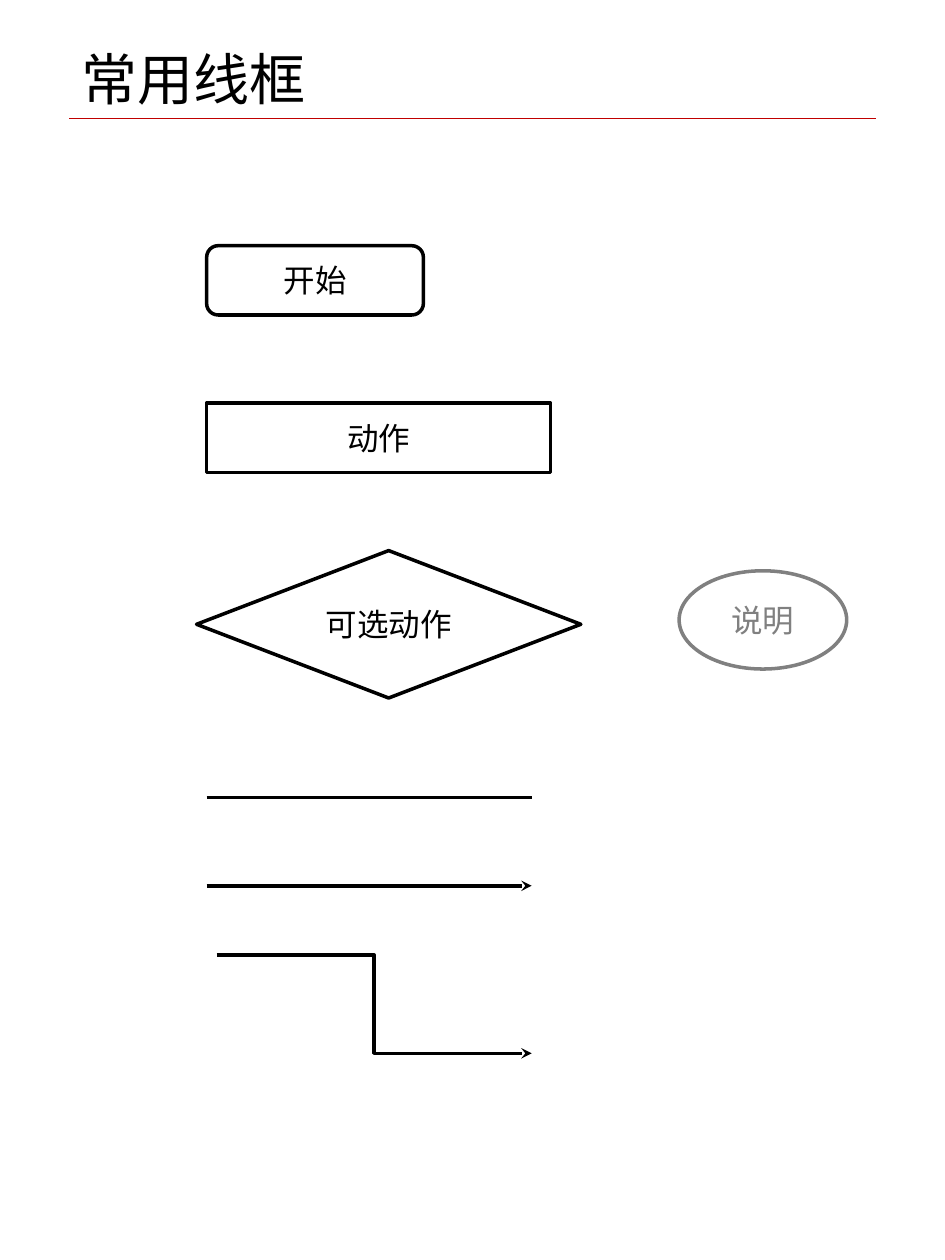
from lxml import etree
from pptx import Presentation
from pptx.dml.color import RGBColor
from pptx.enum.shapes import MSO_CONNECTOR, MSO_SHAPE
from pptx.enum.text import MSO_ANCHOR, MSO_AUTO_SIZE, PP_ALIGN
from pptx.oxml.ns import qn
from pptx.util import Inches, Pt

STRAIGHT, ELBOW = MSO_CONNECTOR.STRAIGHT, MSO_CONNECTOR.ELBOW
ROUNDED, RECTANGLE = MSO_SHAPE.ROUNDED_RECTANGLE, MSO_SHAPE.RECTANGLE
DIAMOND, OVAL = MSO_SHAPE.DIAMOND, MSO_SHAPE.OVAL
LEFT, CENTER = PP_ALIGN.LEFT, PP_ALIGN.CENTER
MIDDLE, BOTTOM = MSO_ANCHOR.MIDDLE, MSO_ANCHOR.BOTTOM
NO_FIT = MSO_AUTO_SIZE.NONE

COLORS = {"black": "000000", "gray": "808080", "red": "C00000"}
CJK_FONT = "Noto Sans CJK SC"
LEFT_EDGE, ARROW_END = 1.64, 4.22


def color(name):
    """Return the named palette colour."""
    return RGBColor.from_string(COLORS[name])


def write_text(shape, text, *, size=18, font="Arial", ink="black",
               align=CENTER, anchor=MIDDLE, insets=(0.01, 0)):
    """Write one formatted paragraph into a shape."""
    frame = shape.text_frame
    frame.word_wrap = True
    frame.auto_size = NO_FIT
    frame.vertical_anchor = anchor
    frame.margin_left = frame.margin_right = Inches(insets[0])
    frame.margin_top = frame.margin_bottom = Inches(insets[1])
    para = frame.paragraphs[0]
    para.alignment = align
    span = para.add_run()
    span.text = text
    span.font.size = Pt(size)
    span.font.name = font
    span.font.color.rgb = color(ink)
    east_asian = etree.SubElement(span.font._element, qn("a:ea"))
    east_asian.set("typeface", CJK_FONT)


def add_title(page, text):
    """Place and fill the title placeholder."""
    title = page.shapes.title
    title.left, title.top = Inches(0.55), Inches(0.08)
    title.width, title.height = Inches(6.38), Inches(0.86)
    write_text(title, text, size=32, font=CJK_FONT, align=LEFT,
               anchor=BOTTOM, insets=(0.1, 0.05))


def add_box(page, kind, bounds, text, *, font="Arial", ink="black"):
    """Add an outlined flowchart shape with a centred label."""
    box = page.shapes.add_shape(kind, *map(Inches, bounds))
    box.shadow.inherit = False
    box.fill.background()
    box.line.color.rgb = color(ink)
    box.line.width = Pt(2)
    write_text(box, text, font=font, ink=ink)


def add_line(page, start, end, *, kind=STRAIGHT, ink="black", width=2,
             arrow=False):
    """Add a connector, with a stealth arrowhead if asked for."""
    line = page.shapes.add_connector(kind, *map(Inches, start + end))
    line.line.color.rgb = color(ink)
    line.line.width = Pt(width)
    if arrow:
        head = etree.SubElement(line.line._get_or_add_ln(), qn("a:tailEnd"))
        head.set("type", "stealth")
    etree.SubElement(line._element.spPr, qn("a:effectLst"))


def main():
    """Build the page of common flowchart outlines."""
    deck = Presentation()
    deck.slide_width, deck.slide_height = Inches(7.5), Inches(10)
    page = deck.slides.add_slide(deck.slide_layouts[5])

    add_line(page, (0.55, 0.94), (6.95, 0.94), ink="red", width=1)
    add_title(page, "常用线框")

    add_box(page, ROUNDED, (LEFT_EDGE, 1.95, 1.72, 0.55), "开始")
    add_box(page, RECTANGLE, (LEFT_EDGE, 3.2, 2.73, 0.55), "动作")
    add_box(page, DIAMOND, (1.56, 4.37, 3.05, 1.17), "可选动作",
            font="Calibri")
    add_box(page, OVAL, (5.39, 4.53, 1.33, 0.78), "说明",
            font="Calibri", ink="gray")

    for top, arrow in ((6.33, False), (7.03, True)):
        add_line(page, (LEFT_EDGE, top), (ARROW_END, top), arrow=arrow)
    add_line(page, (1.72, 7.58), (ARROW_END, 8.36), kind=ELBOW, arrow=True)

    deck.save("out.pptx")


main()
